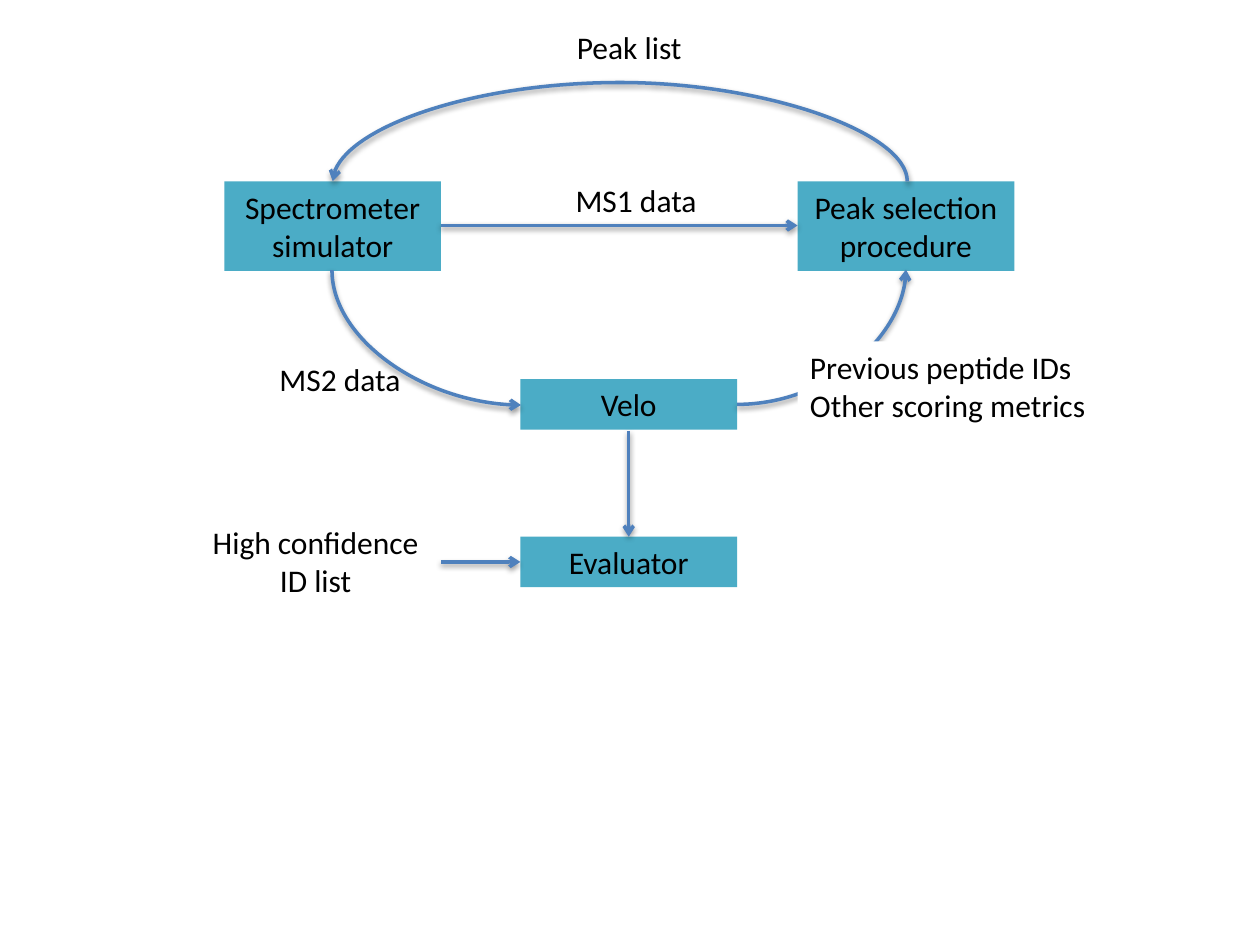
from lxml import etree
from pptx import Presentation
from pptx import util as u
from pptx.dml.color import RGBColor
from pptx.enum import shapes, text
from pptx.oxml.ns import qn

COLORS = {"box": "4BACC6", "arrow": "4F81BD", "text": "000000",
          "shadow": "000000", "white": "FFFFFF"}
BOX_WIDTH = 1.72
TALL, LOW = 0.71, 0.4  # heights of two-line and one-line boxes


def write_text(shape, lines, align, wrap):
    frame = shape.text_frame
    frame.word_wrap = wrap
    frame.auto_size = text.MSO_AUTO_SIZE.SHAPE_TO_FIT_TEXT
    for index, line in enumerate(lines):
        para = frame.paragraphs[0] if index == 0 else frame.add_paragraph()
        para.alignment = align
        span = para.add_run()
        span.text = line
        span.font.name = "Calibri"
        span.font.size = u.Pt(18)
        span.font.color.rgb = RGBColor.from_string(COLORS["text"])


def add_box(page, left, top, width, height, lines, fill="box",
            align=text.PP_ALIGN.CENTER, wrap=True):
    box = page.shapes.add_shape(
        shapes.MSO_SHAPE.RECTANGLE, u.Inches(left), u.Inches(top),
        u.Inches(width), u.Inches(height))
    box.shadow.inherit = False
    box.fill.solid()
    box.fill.fore_color.rgb = RGBColor.from_string(COLORS[fill])
    box.line.fill.background()
    write_text(box, lines, align, wrap)


def add_label(page, left, top, width, height, line,
              align=text.PP_ALIGN.LEFT, wrap=False):
    label = page.shapes.add_textbox(
        u.Inches(left), u.Inches(top), u.Inches(width), u.Inches(height))
    write_text(label, [line], align, wrap)


def style_arrow(arrow):
    arrow.line.color.rgb = RGBColor.from_string(COLORS["arrow"])
    arrow.line.width = u.Pt(2)
    properties = arrow._element.spPr
    etree.SubElement(properties.find(qn("a:ln")), qn("a:tailEnd"), type="arrow")
    effects = etree.SubElement(properties, qn("a:effectLst"))
    shadow = etree.SubElement(effects, qn("a:outerShdw"), blurRad="40000",
                              dist="20000", dir="5400000", rotWithShape="0")
    color = etree.SubElement(shadow, qn("a:srgbClr"), val=COLORS["shadow"])
    etree.SubElement(color, qn("a:alpha"), val="38000")


def add_arrow(page, x1, y1, x2, y2):
    style_arrow(page.shapes.add_connector(
        shapes.MSO_CONNECTOR.STRAIGHT, u.Inches(x1), u.Inches(y1),
        u.Inches(x2), u.Inches(y2)))


def add_curve(page, left, top, width, height, preset, flip,
              rotation=0, bend=None):
    """Place a curved connector by its unrotated frame."""
    x, y = u.Inches(left), u.Inches(top)
    curve = page.shapes.add_connector(
        shapes.MSO_CONNECTOR.CURVE, x, y, x + width, y + u.Inches(height))
    properties = curve._element.spPr
    frame = properties.find(qn("a:xfrm"))
    frame.set(flip, "1")
    if rotation:
        frame.set("rot", str(rotation * 60000))
    geometry = properties.find(qn("a:prstGeom"))
    geometry.set("prst", preset)
    if bend:
        guides = geometry.find(qn("a:avLst"))
        etree.SubElement(guides, qn("a:gd"), name="adj1", fmla=f"val {bend}")
    style_arrow(curve)


def main():
    deck = Presentation()
    deck.slide_width, deck.slide_height = u.Inches(10), u.Inches(7.5)
    page = deck.slides.add_slide(deck.slide_layouts[6])

    # Process boxes
    for left, top, height, name in [
            (1.78, 1.44, TALL, "Spectrometer simulator"),
            (6.33, 1.44, TALL, "Peak selection procedure"),
            (4.13, 3.01, LOW, "Velo"),
            (4.13, 4.26, LOW, "Evaluator")]:
        add_box(page, left, top, BOX_WIDTH, height, [name])

    # Flow between the boxes
    add_arrow(page, 3.5, 1.79, 6.33, 1.79)
    add_curve(page, 2.85, 1.93, u.Inches(1.07), 1.5, "curvedConnector2",
              "flipH", 270)
    add_curve(page, 5.85, 2.14, u.Inches(1.34), 1.07, "curvedConnector2",
              "flipV")
    # The return loop has almost no width, so its bend is a large multiple
    add_curve(page, 4.92, -0.84, u.Emu(1588), 4.56, "curvedConnector3",
              "flipV", 270, bend=49857600)
    add_arrow(page, 4.99, 3.42, 4.99, 4.26)
    add_arrow(page, 3.5, 4.46, 4.13, 4.46)

    # Data labels
    add_label(page, 1.51, 4.1, 1.99, TALL, "High confidence ID list",
              text.PP_ALIGN.CENTER, wrap=True)
    add_label(page, 4.48, 0.17, 1.04, LOW, "Peak list")
    add_label(page, 4.47, 1.39, 1.17, LOW, "MS1 data")
    add_label(page, 2.12, 2.81, 1.17, LOW, "MS2 data")
    add_box(page, 6.33, 2.71, 2.41, TALL,
            ["Previous peptide IDs", "Other scoring metrics"],
            "white", text.PP_ALIGN.LEFT, wrap=False)

    deck.save("out.pptx")


if __name__ == "__main__":
    main()
